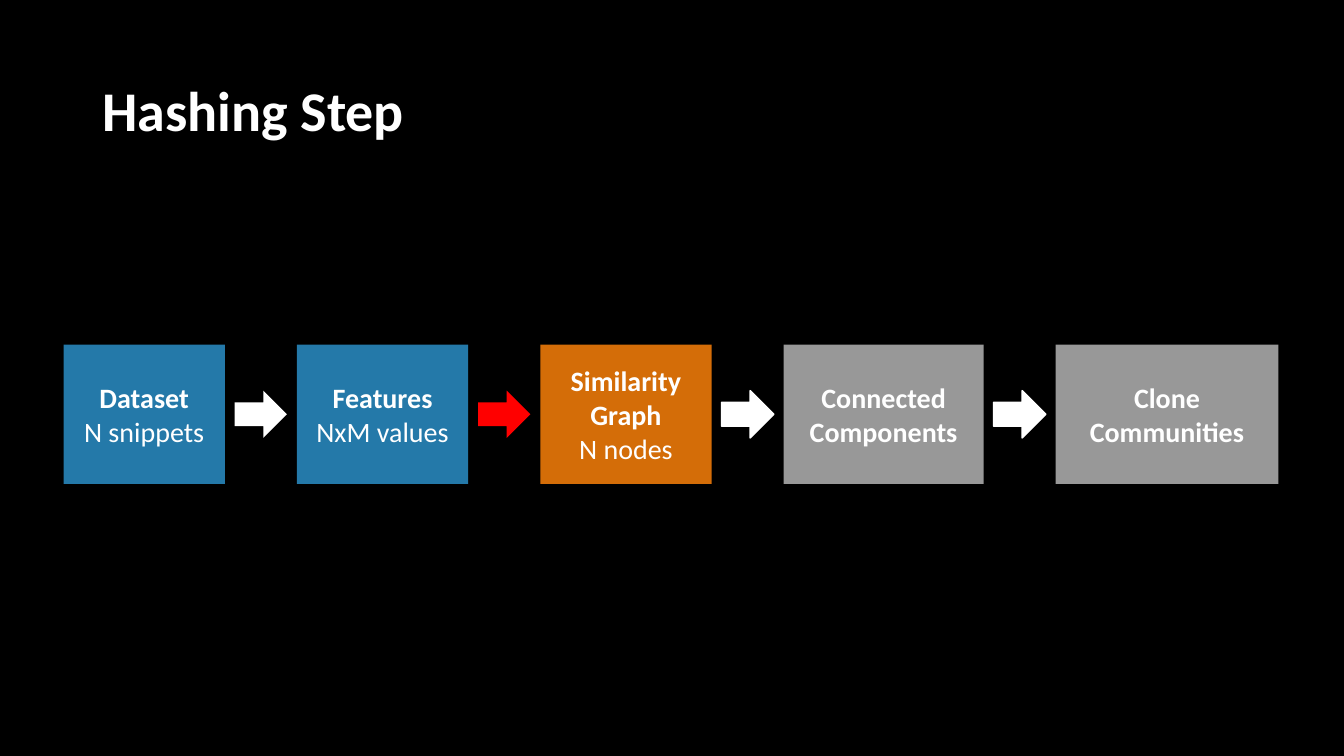
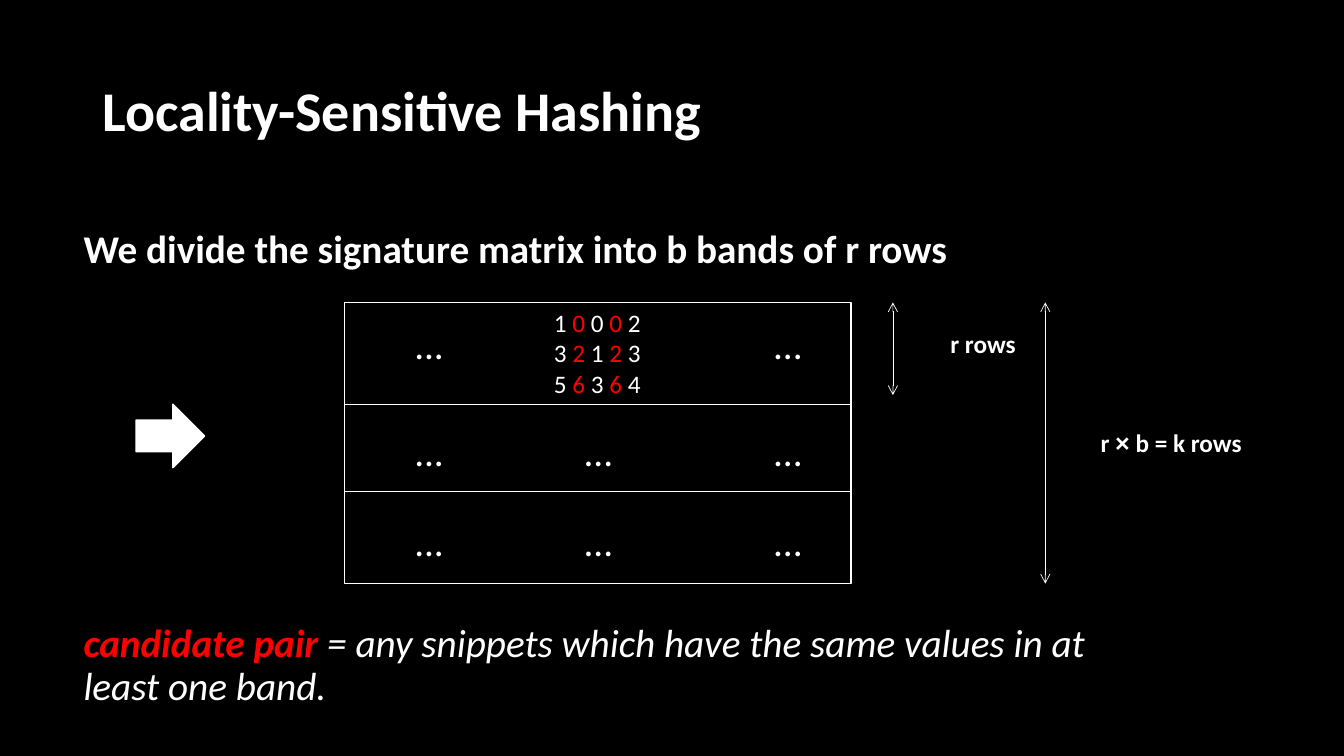
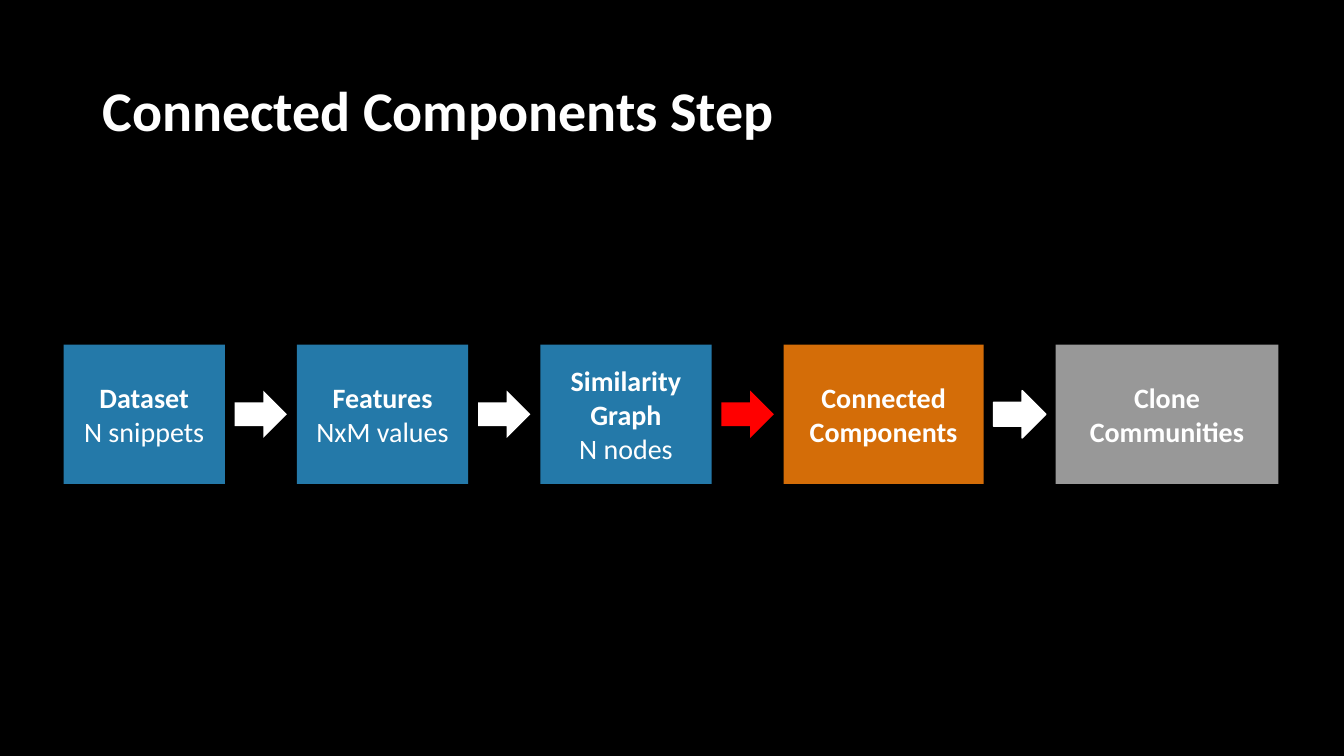
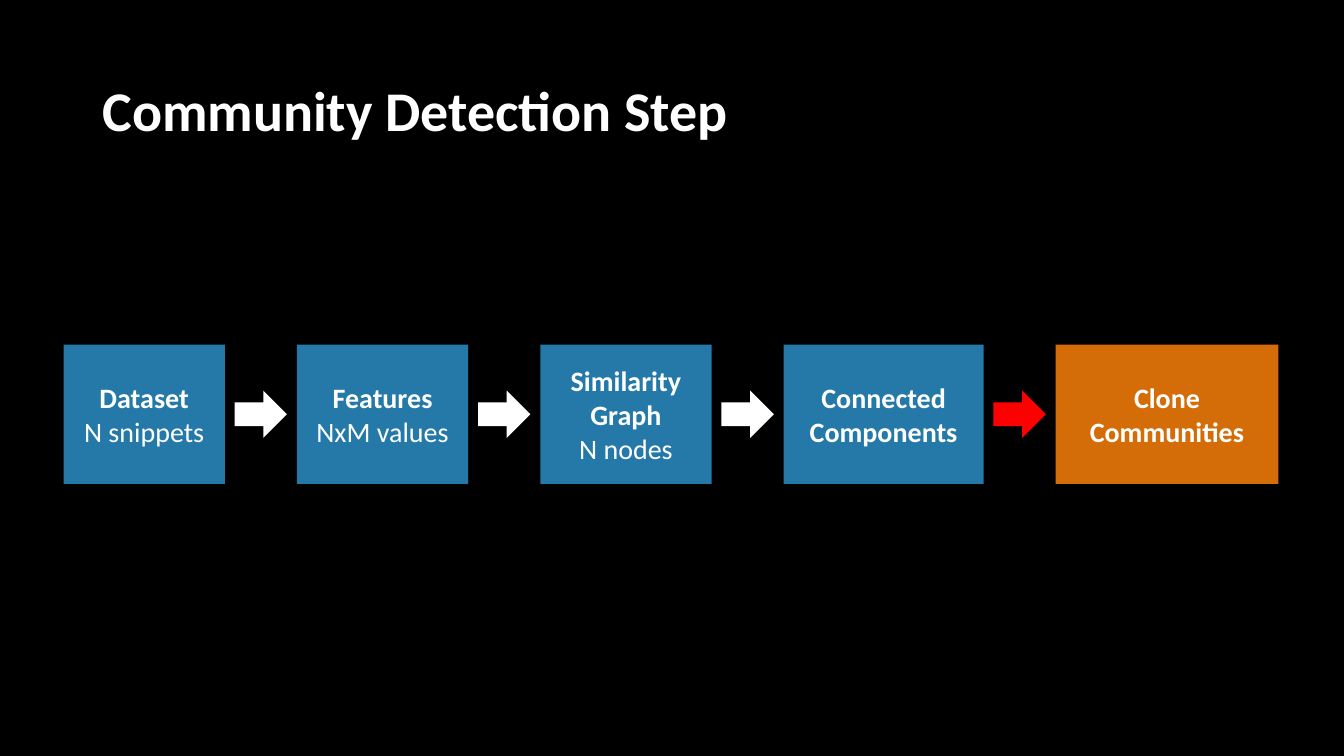
from dataclasses import dataclass
from itertools import product

from lxml import etree
from pptx import Presentation
from pptx.dml.color import RGBColor
from pptx.enum.shapes import MSO_CONNECTOR, MSO_SHAPE
from pptx.enum.text import MSO_ANCHOR, PP_ALIGN
from pptx.oxml.ns import qn
from pptx.util import Inches, Pt

RECT = MSO_SHAPE.RECTANGLE
ARROW = MSO_SHAPE.RIGHT_ARROW
STRAIGHT = MSO_CONNECTOR.STRAIGHT
LEFT, CENTER = PP_ALIGN.LEFT, PP_ALIGN.CENTER
TOP, MIDDLE = MSO_ANCHOR.TOP, MSO_ANCHOR.MIDDLE
TITLE_ONLY = 5
COLS, ROWS = 160, 90
WIDTH, HEIGHT = Inches(13.33), Inches(7.5)


@dataclass(frozen=True)
class Theme:
    back: str = "000000"
    text: str = "FFFFFF"
    done: str = "2479A9"
    now: str = "D46D08"
    later: str = "989898"
    mark: str = "FF0000"
    font: str = "Calibri"
    sign: str = "Arial"
    title: int = 40
    body: int = 28
    step: int = 20
    label: int = 18


THEME = Theme()
STEPS = [
    (19.2, ["Dataset"], "N snippets"),
    (20.4, ["Features"], "NxM values"),
    (20.4, ["Similarity Graph"], "N nodes"),
    (23.8, ["Connected", "Components"], None),
    (26.5, ["Clone", "Communities"], None),
]
MATRIX = ["10002", "32123", "56364"]


def across(x):
    return round(WIDTH * x / COLS)


def down(y):
    return round(HEIGHT * y / ROWS)


def place(x, y, w, h):
    return across(x), down(y), across(w), down(h)


def run(text, color=THEME.text, bold=False, italic=False, font=THEME.font):
    return text, color, bold, italic, font


def write(frame, paras, size, align=LEFT, anchor=TOP, space=1.0):
    frame.word_wrap = True
    frame.vertical_anchor = anchor
    for n, runs in enumerate(paras):
        para = frame.add_paragraph() if n else frame.paragraphs[0]
        para.alignment = align
        para.line_spacing = space
        for text, color, bold, italic, font in runs:
            part = para.add_run()
            part.text = text
            part.font.name = font
            part.font.size = Pt(size)
            part.font.bold = bold
            part.font.italic = italic
            part.font.color.rgb = RGBColor.from_string(color)


def add_slide(deck, title):
    slide = deck.slides.add_slide(deck.slide_layouts[TITLE_ONLY])
    head = slide.shapes.title
    head.left, head.top, head.width, head.height = place(11, 4.8, 138, 17.4)
    write(head.text_frame, [[run(title, bold=True)]], THEME.title,
          anchor=MIDDLE, space=0.9)
    return slide


def add_text(slide, box, paras, size, **style):
    shape = slide.shapes.add_textbox(*place(*box))
    write(shape.text_frame, paras, size, **style)


def add_block(slide, kind, box, fill, line=None):
    shape = slide.shapes.add_shape(kind, *place(*box))
    shape.shadow.inherit = False
    shape.fill.solid()
    shape.fill.fore_color.rgb = RGBColor.from_string(fill)
    if line:
        shape.line.color.rgb = RGBColor.from_string(line)
        shape.line.width = Pt(1)
    else:
        shape.line.fill.background()
    return shape


def add_line(slide, x1, y1, x2, y2, ends=False):
    link = slide.shapes.add_connector(
        STRAIGHT, across(x1), down(y1), across(x2), down(y2))
    link.line.color.rgb = RGBColor.from_string(THEME.text)
    link.line.width = Pt(0.5)
    if ends:
        line = link.line._get_or_add_ln()
        for tag in ("a:headEnd", "a:tailEnd"):
            etree.SubElement(line, qn(tag), type="arrow")
    etree.SubElement(link._element.spPr, qn("a:effectLst"))


def add_flow(deck, title, active):
    slide = add_slide(deck, title)
    left, top, high, gap = 7.56, 41.04, 16.56, 8.58
    wide, tall = 6.24, 5.64
    for n, (width, names, count) in enumerate(STEPS):
        if n:
            fill = THEME.mark if n == active else THEME.text
            line = THEME.text if n > active else None
            box = (left - (gap + wide) / 2, top + (high - tall) / 2, wide, tall)
            add_block(slide, ARROW, box, fill, line)
        fill = (THEME.done if n < active
                else THEME.now if n == active else THEME.later)
        step = add_block(slide, RECT, (left, top, width, high), fill)
        paras = [[run(name, bold=True)] for name in names]
        if count:
            paras.append([run(count)])
        write(step.text_frame, paras, THEME.step, align=CENTER, anchor=MIDDLE)
        left += width + gap


def matrix_row(digits):
    runs = []
    for n, digit in enumerate(digits):
        if n:
            runs.append(run(" "))
        runs.append(run(digit, THEME.mark if n % 2 else THEME.text))
    return runs


def add_bands(slide):
    left, top, width, height = 41.04, 36, 60.3, 33.48
    add_block(slide, RECT, (left, top, width, height), THEME.back, THEME.text)
    for y in (48.12, 58.44):
        add_line(slide, left, y, left + width, y)
    add_text(slide, (64.08, top, 14.04, 12.12),
             [matrix_row(digits) for digits in MATRIX],
             THEME.label, align=CENTER)
    cells = list(product((37.56, 50.28, 60.96), (47.04, 67.2, 89.76)))
    for n, (y, x) in enumerate(cells):
        if n != 1:
            add_text(slide, (x + 1.1, y, 7.56, 6.84), [[run("...")]], THEME.body)
    add_line(slide, 106.3, top, 106.3, 47.04, ends=True)
    add_line(slide, 124.44, top, 124.44, top + height, ends=True)
    add_text(slide, (111.96, 38.52, 11.4, 4.8),
             [[run("r rows", bold=True)]], THEME.label)
    add_text(slide, (129.84, 50.28, 21.72, 4.8),
             [[run("r ", bold=True),
               run("×", bold=True, font=THEME.sign),
               run(" b = k rows", bold=True)]], THEME.label)


def add_hashing(deck):
    slide = add_slide(deck, "Locality-Sensitive Hashing")
    add_text(slide, (8.76, 26.76, 138, 6),
             [[run("We divide the signature matrix into b bands of r rows",
                   bold=True)]], THEME.body, space=0.9)
    add_block(slide, ARROW, (16.2, 48.12, 8.16, 7.56), THEME.text, THEME.text)
    add_bands(slide)
    add_text(slide, (8.76, 73.68, 124.8, 12),
             [[run("candidate pair", THEME.mark, bold=True, italic=True),
               run(" = any snippets which have the same values in at "
                   "least one band.", italic=True)]], THEME.body, space=0.9)


def main():
    deck = Presentation()
    deck.slide_width, deck.slide_height = WIDTH, HEIGHT
    back = deck.slide_master.background.fill
    back.solid()
    back.fore_color.rgb = RGBColor.from_string(THEME.back)
    add_flow(deck, "Hashing Step", 2)
    add_hashing(deck)
    add_flow(deck, "Connected Components Step", 3)
    add_flow(deck, "Community Detection Step", 4)
    deck.save("out.pptx")


if __name__ == "__main__":
    main()
